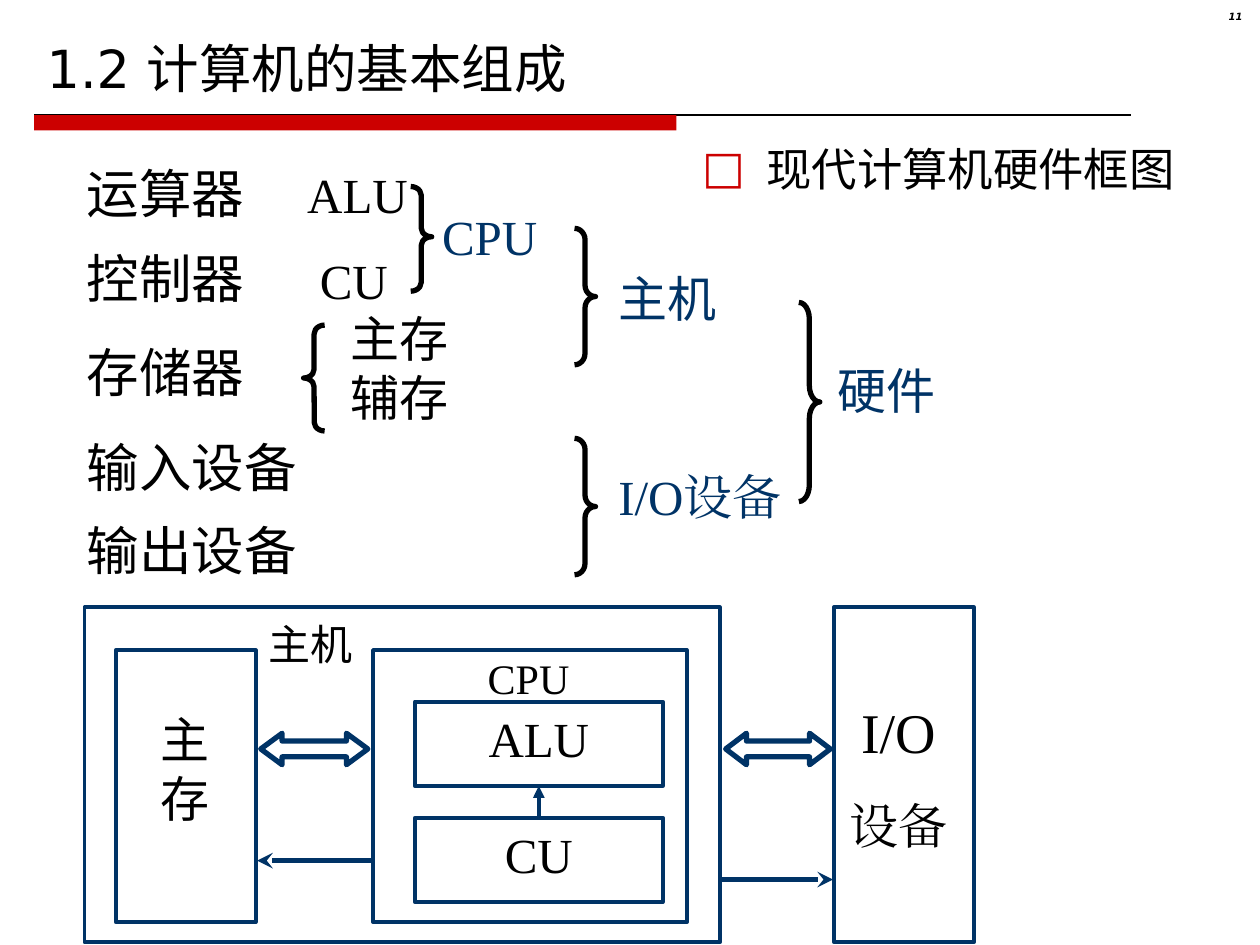
from lxml import etree
from pptx import Presentation
from pptx.dml.color import RGBColor
from pptx.enum.shapes import MSO_CONNECTOR, MSO_SHAPE
from pptx.enum.text import MSO_ANCHOR, MSO_AUTO_SIZE, PP_ALIGN
from pptx.oxml.ns import qn
from pptx.util import Pt

RECTANGLE = MSO_SHAPE.RECTANGLE
LEFT_BRACE, RIGHT_BRACE = MSO_SHAPE.LEFT_BRACE, MSO_SHAPE.RIGHT_BRACE
DOUBLE_ARROW = MSO_SHAPE.LEFT_RIGHT_ARROW
STRAIGHT = MSO_CONNECTOR.STRAIGHT
LEFT, CENTER, RIGHT = PP_ALIGN.LEFT, PP_ALIGN.CENTER, PP_ALIGN.RIGHT
TOP, BOTTOM = MSO_ANCHOR.TOP, MSO_ANCHOR.BOTTOM
NO_AUTOFIT = MSO_AUTO_SIZE.NONE

THEME = {
    "black": RGBColor(0, 0, 0),
    "navy": RGBColor(0x00, 0x33, 0x66),
    "red": RGBColor(0xCC, 0, 0),
    "sans": "DejaVu Sans", "serif": "Times New Roman", "cjk": "Lato",
    "title": 30, "part": 30, "bullet": 25.9, "label": 28,
    "io": 32, "caption": 24, "number": 5.7,
}


def write(shape, lines, font, size, color="black", align=LEFT, wrap=True,
          anchor=TOP, margins=(7.2, 3.6)):
    """Fill a shape with one formatted paragraph per line."""
    frame = shape.text_frame
    across, down = margins
    frame_format = {
        "auto_size": NO_AUTOFIT, "word_wrap": wrap, "vertical_anchor": anchor,
        "margin_left": Pt(across), "margin_right": Pt(across),
        "margin_top": Pt(down), "margin_bottom": Pt(down),
    }
    for name, value in frame_format.items():
        setattr(frame, name, value)
    for index, line in enumerate(lines):
        paragraph = frame.paragraphs[0] if index == 0 else frame.add_paragraph()
        paragraph.alignment = align
        paragraph.space_before = Pt(0)
        run = paragraph.add_run()
        run.text = line
        for name, value in {"name": THEME[font], "size": Pt(THEME[size])}.items():
            setattr(run.font, name, value)
        run.font.color.rgb = THEME[color]
        latin = run._r.get_or_add_rPr().find(qn("a:latin"))
        east_asian = etree.Element(qn("a:ea"), typeface=THEME[font])
        latin.addnext(east_asian)
    return frame.paragraphs


def outline(item, color, width, arrow=None):
    """Give a shape or connector a plain line, with an optional end arrow."""
    item.line.color.rgb = THEME[color]
    item.line.width = Pt(width)
    if arrow:
        etree.SubElement(item.line._get_or_add_ln(), qn("a:tailEnd"), type=arrow)
    if hasattr(item, "fill"):
        item.shadow.inherit = False
        item.fill.background()
    else:
        etree.SubElement(item._element.spPr, qn("a:effectLst"))


presentation = Presentation()
presentation.slide_width, presentation.slide_height = Pt(720), Pt(540)
slide = presentation.slides.add_slide(presentation.slide_layouts[1])
shapes = slide.shapes

# Header rule: thin line with a thick red start
rule = shapes.add_connector(STRAIGHT, Pt(19.5), Pt(65.8), Pt(646.5), Pt(65.8))
outline(rule, "black", 0.75)
bar = shapes.add_shape(RECTANGLE, Pt(19.5), Pt(65.8), Pt(367), Pt(8.7))
bar.shadow.inherit = False
bar.fill.solid()
bar.fill.fore_color.rgb = THEME["red"]
bar.line.fill.background()

# Title and bulleted heading
title, body = shapes.title, slide.placeholders[1]
for placeholder, box in ((title, (19.5, 9.4, 680.4, 51)), (body, (394, 77, 306, 39.6))):
    for name, value in zip(("left", "top", "width", "height"), box):
        setattr(placeholder, name, Pt(value))
write(title, ["1.2 计算机的基本组成"], "sans", "title", anchor=BOTTOM)
heading = write(body, ["现代计算机硬件框图"], "sans", "bullet")[0]
properties = heading._p.get_or_add_pPr()
properties.set("marL", str(Pt(36.8)))
properties.set("indent", str(-Pt(36.8)))
bullet_color = etree.SubElement(properties, qn("a:buClr"))
etree.SubElement(bullet_color, qn("a:srgbClr"), val=str(THEME["red"]))
etree.SubElement(properties, qn("a:buFont"), typeface=THEME["sans"])
etree.SubElement(properties, qn("a:buChar"), char="□")

# Page number
number_box = shapes.add_textbox(Pt(674.6), Pt(3.6), Pt(42.5), Pt(16.6))
number = write(number_box, ["11"], "sans", "number", align=RIGHT)[0]
number.line_spacing = 0.8
for name in ("bold", "italic"):
    setattr(number.runs[0].font, name, True)

# The five parts of a computer
parts = (("运算器", 88.6, 167), ("控制器", 136.8, 147.6), ("存储器", 190.8, 141.8),
         ("输入设备", 244.8, 219.6), ("输出设备", 292.3, 226))
for text, top, width in parts:
    part = shapes.add_textbox(Pt(42.5), Pt(top), Pt(width), Pt(43.2))
    write(part, [text], "cjk", "part")

# What the parts make up
labels = (
    (["ALU"], "serif", "black", 168.5, 90.7, 72, 41, False),
    (["CU"], "serif", "black", 175.7, 139.7, 53.3, 41, False),
    (["主存", "辅存"], "cjk", "black", 193, 172.8, 69.8, 74.9, False),
    (["CPU"], "serif", "navy", 245.5, 114.5, 68.4, 41, False),
    (["主机"], "cjk", "navy", 346.3, 149.8, 69.8, 41, False),
    (["I/O设备"], "serif", "navy", 346.3, 262.8, 139, 41, True),
    (["硬件"], "cjk", "navy", 471.6, 202.3, 69.8, 41, False),
)
for lines, font, color, left, top, width, height, wrap in labels:
    label = shapes.add_textbox(Pt(left), Pt(top), Pt(width), Pt(height))
    write(label, lines, font, "label", color, wrap=wrap)

# Braces: the curl is a twelfth of the height
BRACE_WIDTH = 12
braces = ((LEFT_BRACE, 173.5, 185.8, 60.5, 0.5), (RIGHT_BRACE, 234.7, 106.6, 59.8, 0.48),
          (RIGHT_BRACE, 328.3, 130.5, 78, 0.5), (RIGHT_BRACE, 328.3, 250.5, 78, 0.5),
          (RIGHT_BRACE, 456.5, 172.8, 113.8, 0.5))
for kind, left, top, height, tip in braces:
    brace = shapes.add_shape(kind, Pt(left), Pt(top), Pt(BRACE_WIDTH), Pt(height))
    brace.adjustments[0] = height / 12 / BRACE_WIDTH
    brace.adjustments[1] = tip
    outline(brace, "black", 3)

# Block diagram: boxes
boxes = {}
for name, left, top, width, height in (
        ("host", 48.4, 347, 363, 191.5), ("memory", 66.2, 371.5, 80, 155.5),
        ("cpu", 213.2, 371.5, 179.3, 155.5), ("io", 476.6, 347, 80, 191.5),
        ("ALU", 237, 401, 141.8, 48.2), ("CU", 237, 467.3, 141.8, 48.2)):
    box = shapes.add_shape(RECTANGLE, Pt(left), Pt(top), Pt(width), Pt(height))
    outline(box, "navy", 2.13)
    boxes[name] = box
for name in ("ALU", "CU"):
    write(boxes[name], [name], "serif", "label", align=CENTER, margins=(7.2, 4))

# Block diagram: captions
captions = (
    (["主机"], "cjk", "caption", LEFT, False, (0, 0), 153.4, 353.5, 48.2, 28.8),
    (["CPU"], "serif", "caption", CENTER, True, (0, 0), 277.2, 373, 49.7, 28.8),
    (["主", "存"], "cjk", "label", CENTER, False, (7.2, 3.6), 84.2, 401.8, 42.5, 74.9),
    (["I/O", "设备"], "serif", "io", CENTER, True, (7.2, 3.6), 474.5, 395.3, 77.8, 97.2),
)
for lines, font, size, align, wrap, margins, left, top, width, height in captions:
    caption = shapes.add_textbox(Pt(left), Pt(top), Pt(width), Pt(height))
    paragraphs = write(caption, lines, font, size, align=align, wrap=wrap, margins=margins)
    if size == "io":
        paragraphs[1].space_before = Pt(17.5)
        paragraphs[1].runs[0].font.size = Pt(THEME["label"])

# Block diagram: data arrows
for left, width, head in ((149, 61.2, 0.68), (414.7, 59.8, 0.66)):
    data_arrow = shapes.add_shape(DOUBLE_ARROW, Pt(left), Pt(419), Pt(width), Pt(18))
    data_arrow.adjustments[0] = 0.5
    data_arrow.adjustments[1] = head
    outline(data_arrow, "navy", 3)

# Block diagram: control arrows
for start, end, top in ((412, 476, 502.6), (212.4, 147, 491.8)):
    control = shapes.add_connector(STRAIGHT, Pt(start), Pt(top), Pt(end), Pt(top))
    outline(control, "navy", 3, "stealth")
command = shapes.add_connector(STRAIGHT, Pt(307.9), Pt(467.3), Pt(307.9), Pt(449.2))
command.begin_connect(boxes["CU"], 0)
command.end_connect(boxes["ALU"], 2)
outline(command, "navy", 2.25, "triangle")

presentation.save("out.pptx")
